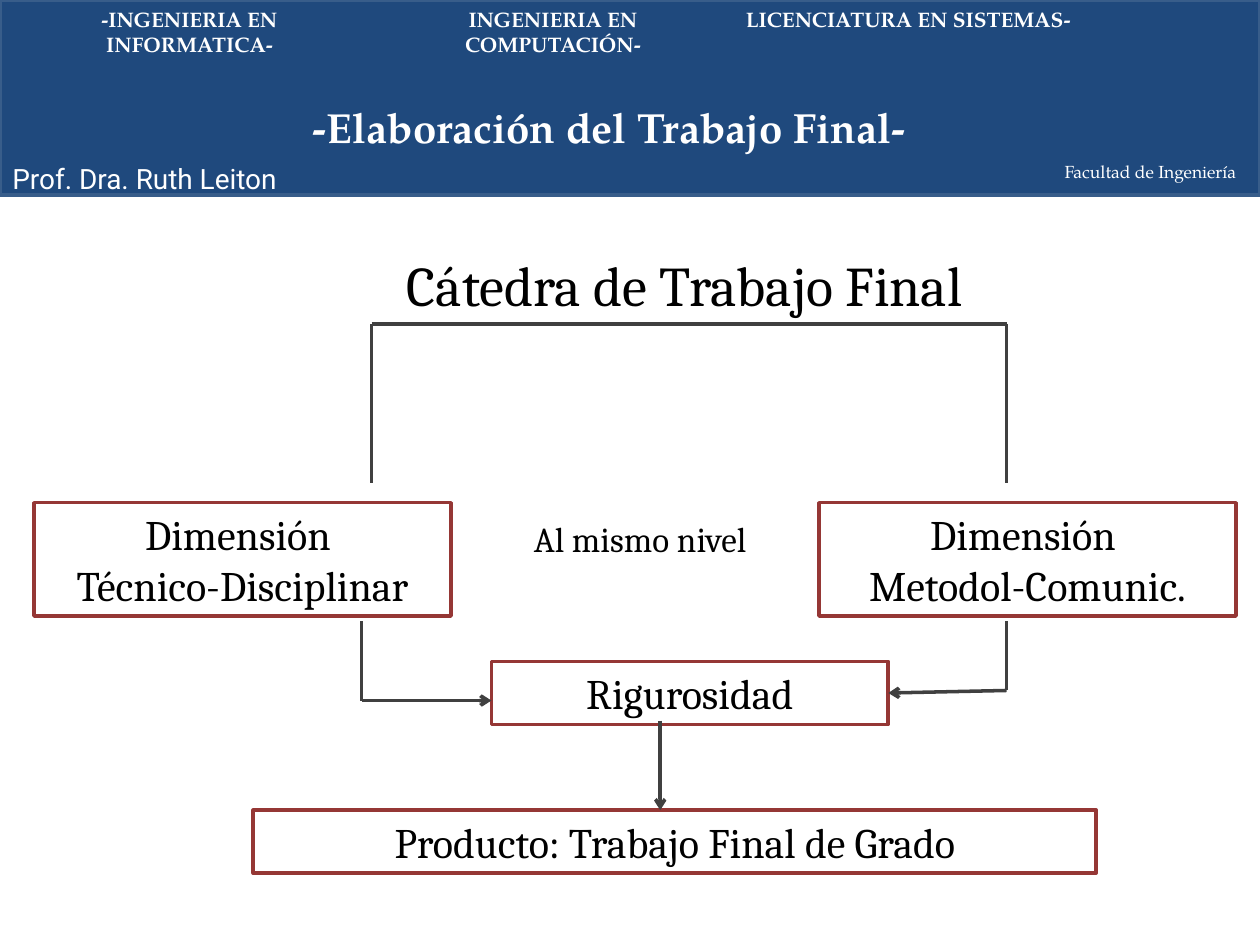
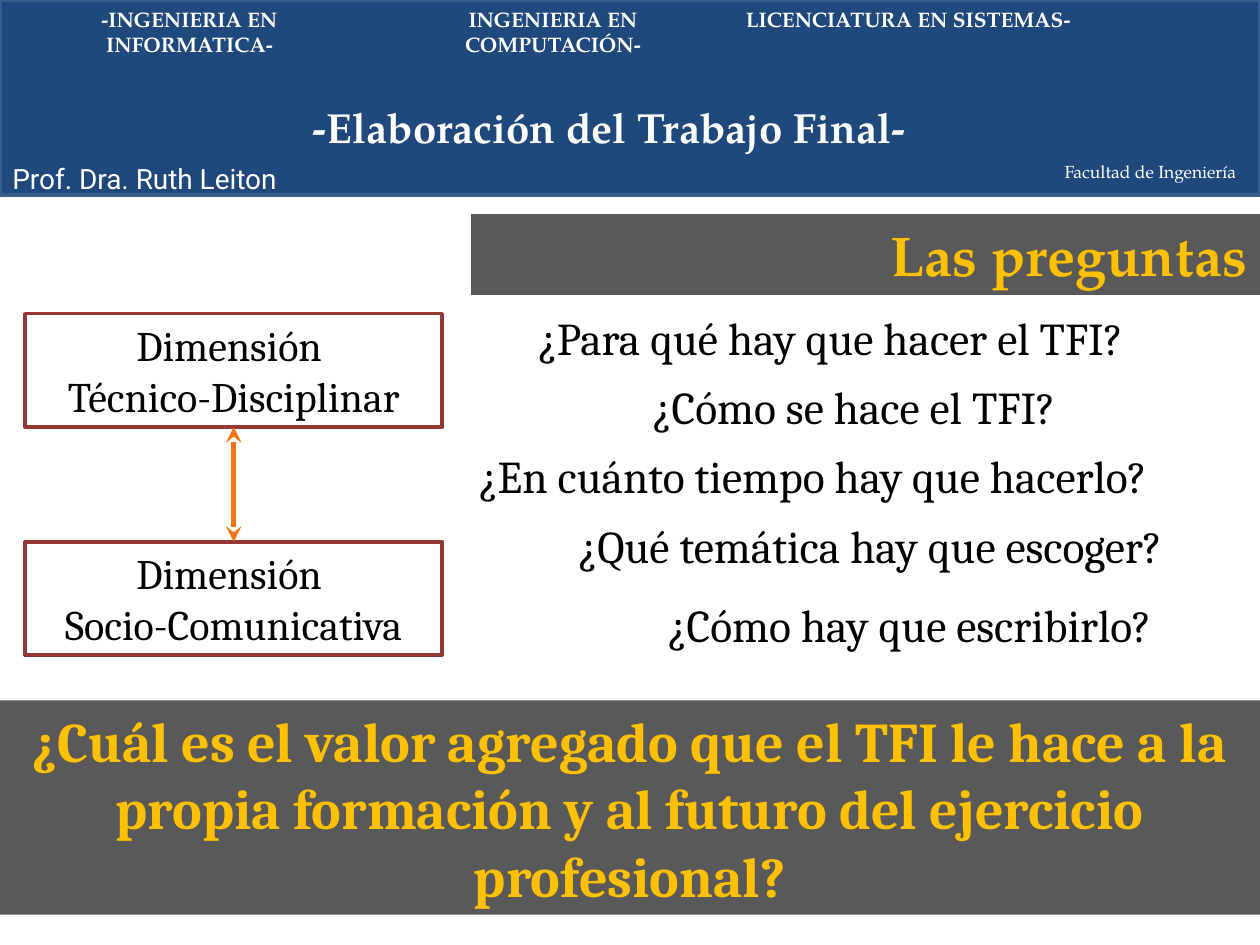
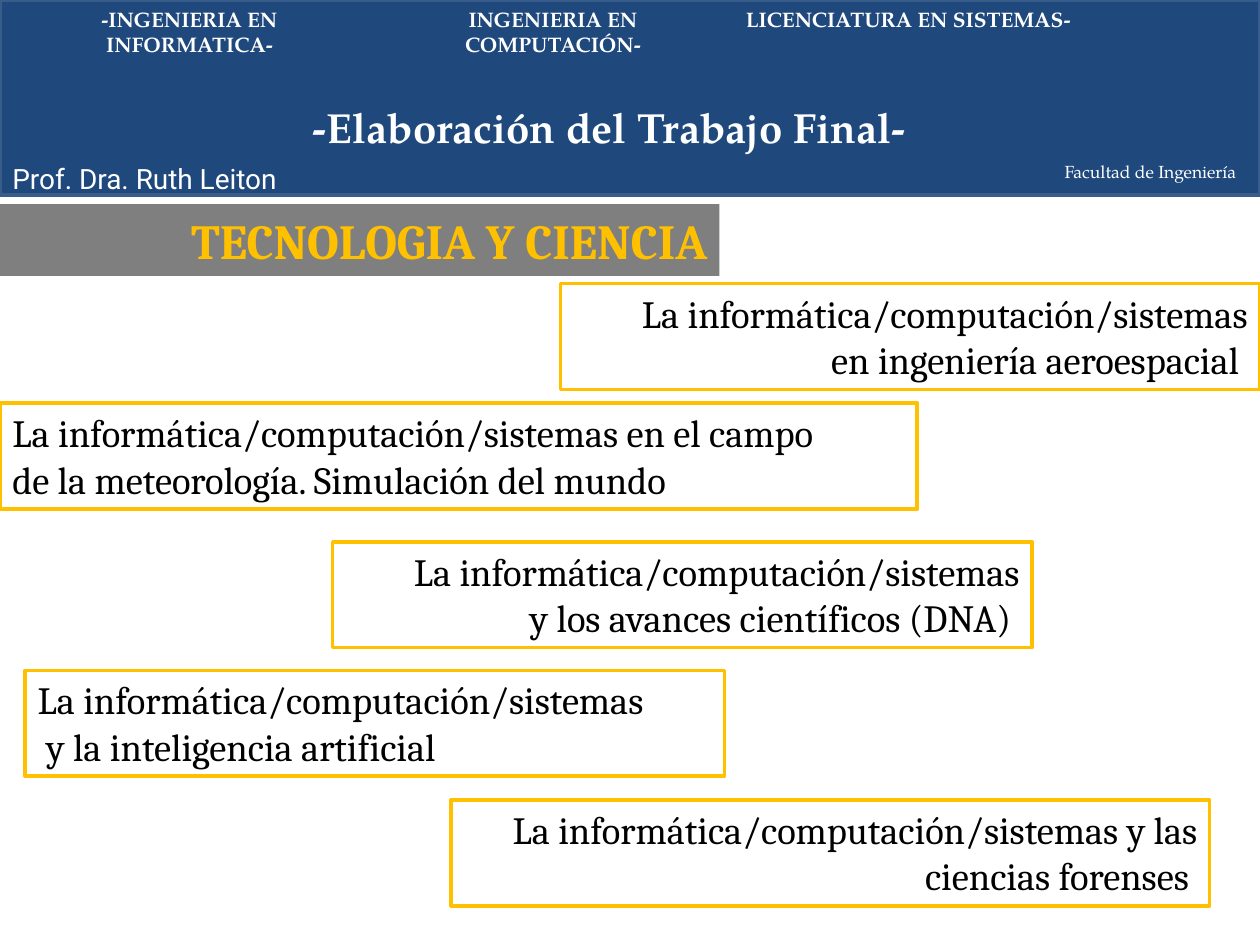
from lxml import etree
from pptx import Presentation
from pptx import util as u
from pptx.dml.color import RGBColor
from pptx.enum import shapes, text
from pptx.oxml.ns import qn

COLORS = {
    "navy": "1F497D", "navy edge": "385D8A", "white": "FFFFFF", "black": "000000",
    "red": "953735", "charcoal": "404040", "dark gray": "595959", "gray": "7F7F7F",
    "gold": "FFC000", "orange": "F47312",
}
SERIF, TITLE, SANS = "Cambria", "TeX Gyre Pagella", "Roboto"
LEFT, CENTER = text.PP_ALIGN.LEFT, text.PP_ALIGN.CENTER
RIGHT, JUSTIFY = text.PP_ALIGN.RIGHT, text.PP_ALIGN.JUSTIFY
LINE_WIDTH = 2


def rgb(name):
    return RGBColor.from_string(COLORS[name])


class Board:
    """Holds the deck's style and draws on its current slide."""

    def __init__(self):
        self.deck = Presentation()
        self.deck.slide_width, self.deck.slide_height = u.Inches(10), u.Inches(7.5)
        self.slide = None

    def new_slide(self):
        self.slide = self.deck.slides.add_slide(self.deck.slide_layouts[6])

    def fill_text(self, box, lines, size, color="black", font=SERIF, bold=False,
                  align=CENTER, wrap=True):
        frame = box.text_frame
        frame.word_wrap = wrap
        frame.auto_size = text.MSO_AUTO_SIZE.SHAPE_TO_FIT_TEXT
        frame.vertical_anchor = text.MSO_ANCHOR.TOP
        frame.text = lines
        for para in frame.paragraphs:
            para.alignment = align
            para.font.size, para.font.name, para.font.bold = u.Pt(size), font, bold
            para.font.color.rgb = rgb(color)

    def label(self, place, lines, size, **style):
        box = self.slide.shapes.add_textbox(*map(u.Inches, place))
        self.fill_text(box, lines, size, **style)

    def panel(self, place, fill=None, edge=None):
        box = self.slide.shapes.add_shape(
            shapes.MSO_SHAPE.RECTANGLE, *map(u.Inches, place))
        box.shadow.inherit = False
        if fill:
            box.fill.solid()
            box.fill.fore_color.rgb = rgb(fill)
        else:
            box.fill.background()
        if edge:
            box.line.color.rgb = rgb(edge)
            box.line.width = u.Pt(LINE_WIDTH)
        else:
            box.line.fill.background()
        return box

    def frame(self, place, lines, size=24, edge="red", align=CENTER):
        box = self.panel(place, edge=edge)
        self.fill_text(box, lines, size, align=align)
        return box

    def banner(self, place, lines, size, fill="dark gray", font=SERIF, align=RIGHT):
        box = self.panel(place, fill=fill)
        self.fill_text(box, lines, size, color="gold", font=font, bold=True, align=align)

    def line(self, start, end, color="charcoal", width=LINE_WIDTH, head=None, tail=None):
        line = self.slide.shapes.add_connector(
            shapes.MSO_CONNECTOR.STRAIGHT, *map(u.Inches, (*start, *end)))
        line.line.color.rgb = rgb(color)
        line.line.width = u.Pt(width)
        properties = line._element.spPr
        for tag, kind in (("a:headEnd", head), ("a:tailEnd", tail)):
            if kind:
                etree.SubElement(properties.find(qn("a:ln")), qn(tag), type=kind)
        etree.SubElement(properties, qn("a:effectLst"))
        return line

    def header(self):
        self.panel((0, 0, 10, 1.55), fill="navy", edge="navy edge")
        self.label((8.35, 1.23, 1.65, 0.44), "Facultad de Ingeniería", 10,
                   color="white", font=TITLE, align=LEFT)
        self.label((1.53, 0.76, 6.61, 0.5), "-Elaboración del Trabajo Final-", 24,
                   color="white", font=TITLE, bold=True)
        self.label((0, 1.23, 2.48, 0.64), "Prof. Dra. Ruth Leiton", 16,
                   color="white", font=SANS, align=LEFT)
        for left, width, degree, wrap in (
                (0.04, 2.93, "-INGENIERIA EN\vINFORMATICA-", False),
                (2.92, 2.94, "INGENIERIA EN\vCOMPUTACIÓN-", False),
                (5.79, 2.84, "LICENCIATURA EN SISTEMAS-", True)):
            self.label((left, 0, width, 0.3), degree, 12, color="white",
                       font=TITLE, bold=True, wrap=wrap)


def course_slide(board):
    board.new_slide()
    board.label((1.38, 1.94, 8.11, 0.64), "Cátedra de Trabajo Final", 32)
    board.frame((0.27, 3.99, 3.31, 0.9), "Dimensión \nTécnico-Disciplinar")
    board.frame((6.5, 3.99, 3.31, 0.9), "Dimensión \nMetodol-Comunic.")
    rigor = board.frame((3.9, 5.25, 3.15, 0.5), "Rigurosidad")
    board.frame((2.01, 6.43, 6.69, 0.5), "Producto: Trabajo Final de Grado")

    left, right, top = 2.95, 7.99, 2.57
    board.line((left, top), (right, top))
    for x in (left, right):
        board.line((x, top), (x, 3.83))
    board.line((2.87, 4.93), (2.87, 5.56))
    board.line((2.87, 5.56), (3.9, 5.56), tail="arrow")
    board.line((right, 4.93), (right, 5.48))
    to_rigor = board.line((right, 5.48), (7.05, 5.5), tail="arrow")
    to_rigor.end_connect(rigor, 3)
    board.line((5.24, 5.72), (5.24, 6.43), tail="arrow")
    board.label((3.74, 4.06, 2.68, 0.44), "Al mismo nivel", 20)
    board.header()


def questions_slide(board):
    board.new_slide()
    board.banner((3.74, 1.7, 6.26, 0.64), "Las preguntas", 32, font=TITLE)
    for left, top, width, question in (
            (4.17, 2.41, 5.83, "¿Para qué hay que hacer el TFI?"),
            (5.08, 2.96, 4.25, "¿Cómo se hace el TFI?"),
            (3.7, 3.51, 6.3, "¿En cuánto tiempo hay que hacerlo?"),
            (4.49, 4.06, 5.51, "¿Qué temática hay que escoger?"),
            (5.2, 4.69, 4.8, "¿Cómo hay que escribirlo?")):
        board.label((left, top, width, 0.54), question, 26, align=LEFT)
    board.banner((0, 5.56, 10, 1.7),
                 "¿Cuál es el valor agregado que el TFI le hace a la propia formación "
                 "y al futuro del ejercicio profesional?", 32, align=CENTER)
    technical = board.frame((0.2, 2.49, 3.31, 0.9), "Dimensión \nTécnico-Disciplinar")
    social = board.frame((0.2, 4.3, 3.31, 0.9), "Dimensión \nSocio-Comunicativa")
    link = board.line((1.85, 3.4), (1.85, 4.3), color="orange", width=3,
                      head="stealth", tail="stealth")
    link.begin_connect(technical, 2)
    link.end_connect(social, 0)
    board.header()


def science_slide(board):
    board.new_slide()
    board.banner((0, 1.62, 5.71, 0.57), "TECNOLOGIA Y CIENCIA", 28, fill="gray")
    for left, top, width, align, ending in (
            (4.45, 2.25, 5.55, RIGHT, "\nen ingeniería aeroespacial "),
            (0, 3.2, 7.28, JUSTIFY,
             " en el campo\nde la meteorología. Simulación del mundo"),
            (2.64, 4.3, 5.55, RIGHT, "\ny los avances científicos (DNA) "),
            (0.2, 5.32, 5.55, LEFT, "\n y la inteligencia artificial"),
            (3.58, 6.35, 6.02, RIGHT, " y las ciencias forenses ")):
        board.frame((left, top, width, 0.84),
                    "La informática/computación/sistemas" + ending,
                    size=22, edge="gold", align=align)
    board.header()


def main():
    board = Board()
    course_slide(board)
    questions_slide(board)
    science_slide(board)
    board.deck.save("out.pptx")


if __name__ == "__main__":
    main()
